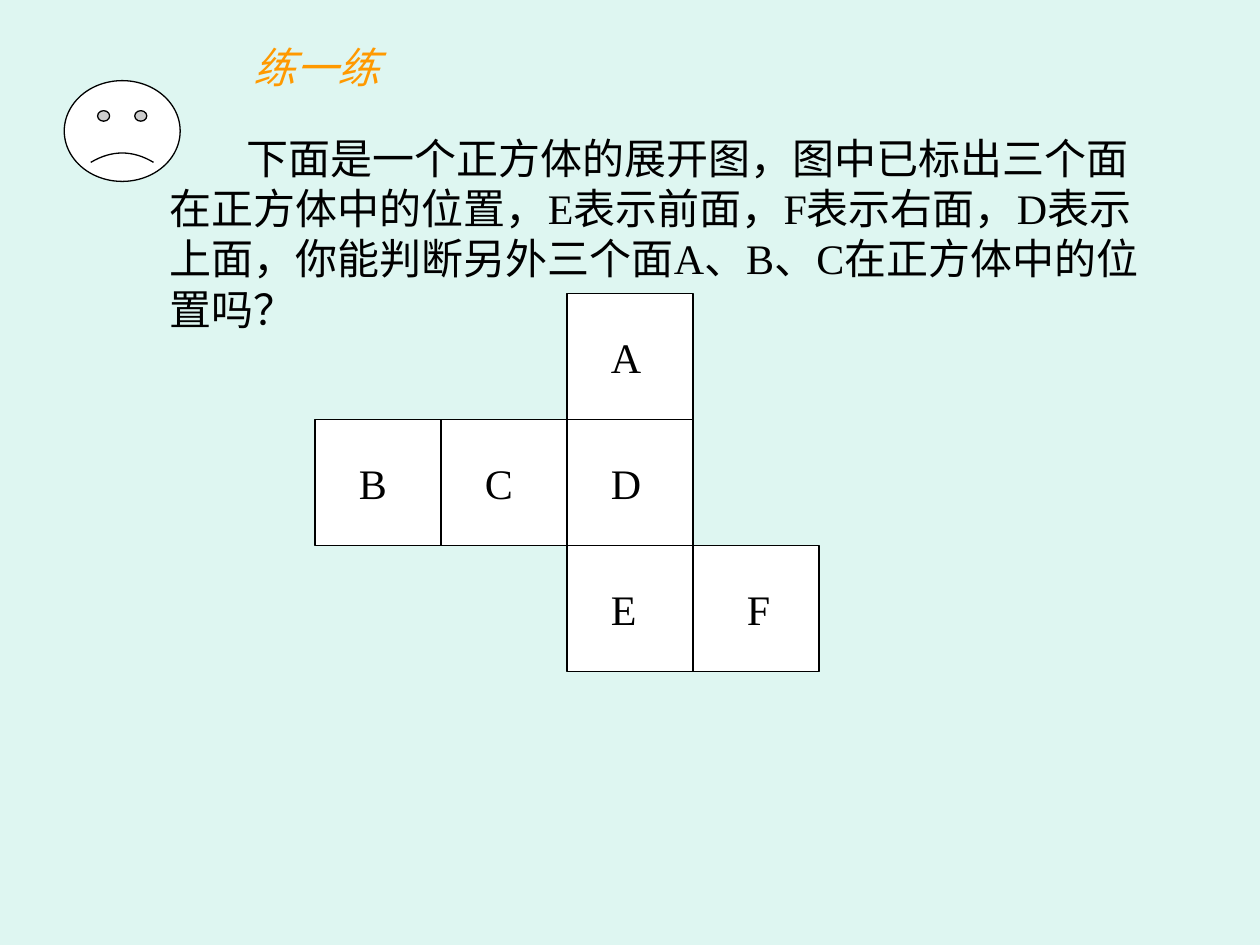
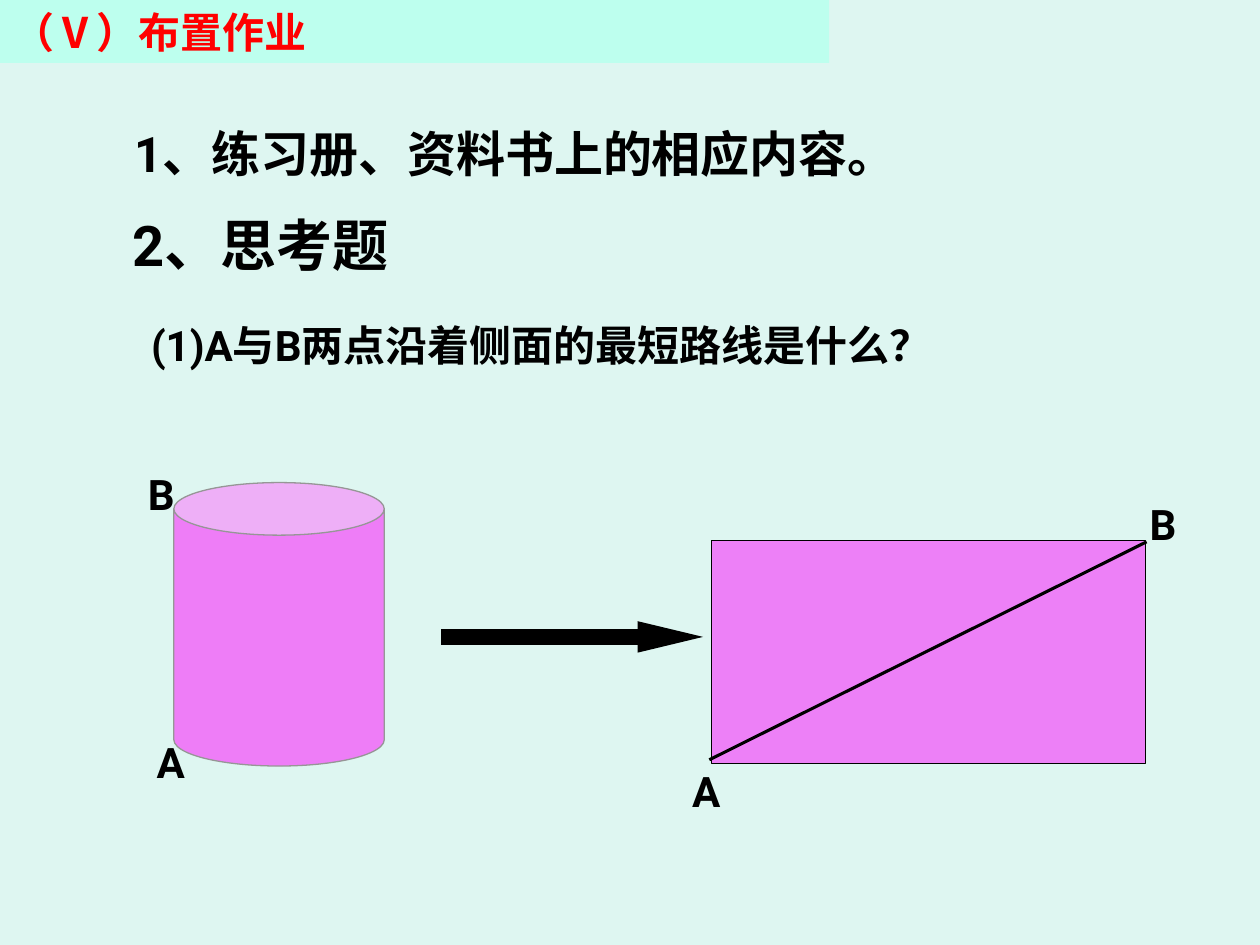
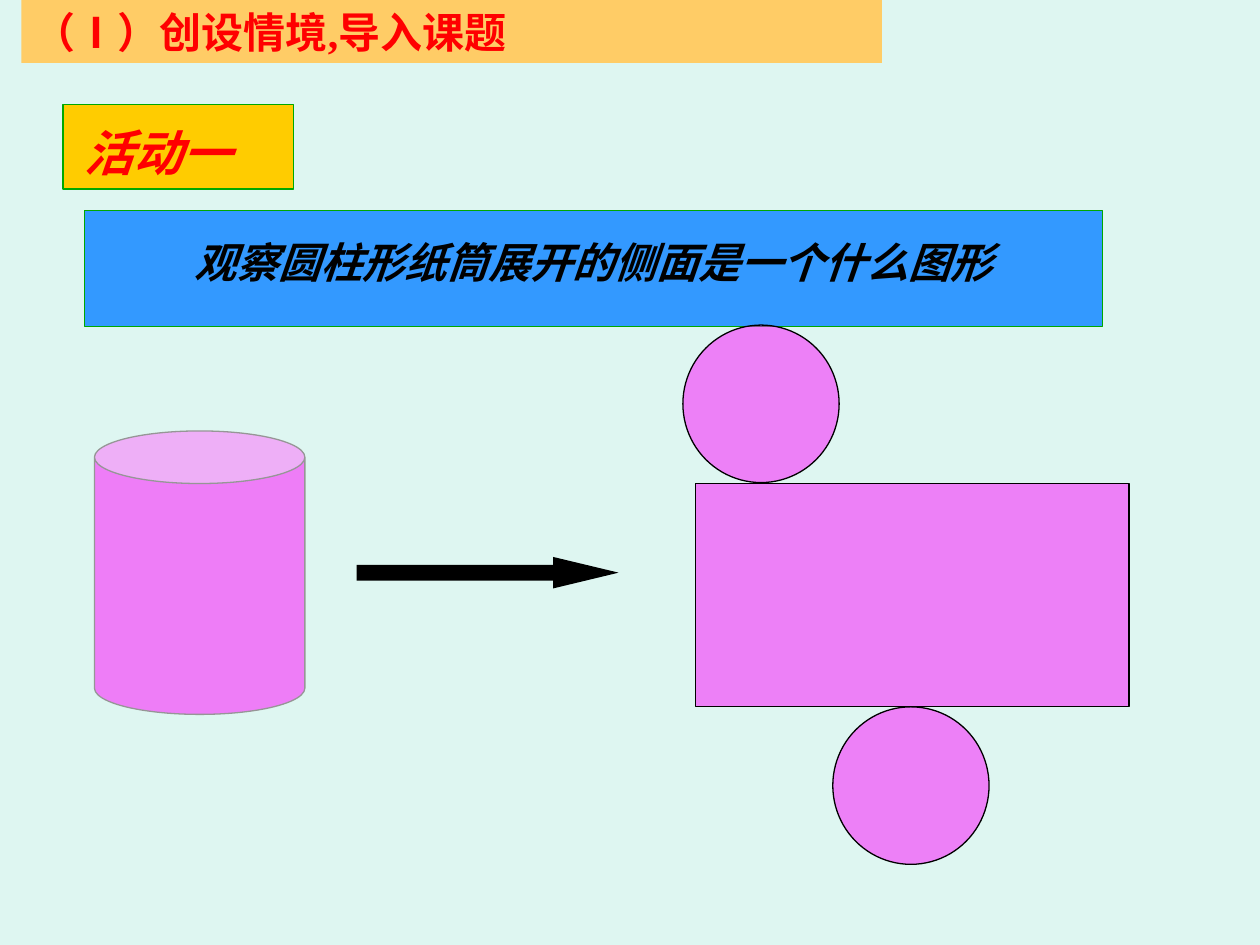
from dataclasses import dataclass

import lxml.etree
import pptx
import pptx.dml.color
import pptx.enum.shapes
import pptx.enum.text
import pptx.oxml.ns
import pptx.util

Inches = pptx.util.Inches
Pt = pptx.util.Pt
qn = pptx.oxml.ns.qn
Kind = pptx.enum.shapes.MSO_SHAPE
Align = pptx.enum.text.PP_ALIGN


@dataclass(frozen=True)
class Theme:
    back: str = "DEF6F1"
    ink: str = "000000"
    white: str = "FFFFFF"
    red: str = "FF0000"
    orange: str = "FF9900"
    pink: str = "FF00FF"
    gray: str = "969696"
    green: str = "00A800"
    gold: str = "FFCC00"
    blue: str = "3399FF"
    mint: str = "BDFFEE"
    sand: str = "FFCC66"
    body: int = 24
    large: int = 28
    huge: int = 32
    thin: float = 0.75
    thick: float = 1.75
    serif: str = "Times New Roman"
    sans: str = "Roboto"
    han: str = "Noto Sans CJK SC"


T = Theme()


@dataclass(frozen=True)
class Box:
    x: float
    y: float
    w: float
    h: float

    def emu(self) -> list:
        return [Inches(v) for v in (self.x, self.y, self.w, self.h)]


@dataclass(frozen=True)
class Style:
    size: int = T.body
    color: str = T.ink
    font: str = T.sans
    bold: bool = True
    slant: bool = False
    align: Align = Align.LEFT
    wrap: bool = True
    indent: float = 0


@dataclass(frozen=True)
class Label:
    text: str
    box: Box
    style: Style


@dataclass(frozen=True)
class Cell:
    name: str
    col: int
    row: int
    inset: float = 0.25


PLAIN = Style(font=T.serif, bold=False)
MARK = Style(align=Align.CENTER)
HEAD = Style(color=T.red)

CELLS = (
    Cell("A", 2, 0),
    Cell("B", 0, 1),
    Cell("C", 1, 1),
    Cell("D", 2, 1),
    Cell("E", 2, 2),
    Cell("F", 3, 2, 0.33),
)


def rgb(color: str):
    return pptx.dml.color.RGBColor.from_string(color)


def new_slide(deck):
    slide = deck.slides.add_slide(deck.slide_layouts[6])
    slide.background.fill.solid()
    slide.background.fill.fore_color.rgb = rgb(T.back)
    return slide


def draw(slide, kind, box: Box, fill: str, line: str = "",
         alpha: int = 100, adjust: tuple = ()):
    shape = slide.shapes.add_shape(kind, *box.emu())
    shape.shadow.inherit = False
    shape.fill.solid()
    shape.fill.fore_color.rgb = rgb(fill)
    if alpha < 100:
        color = shape.fill._xPr.find(qn("a:solidFill"))[0]
        lxml.etree.SubElement(color, qn("a:alpha"), val=str(alpha * 1000))
    if line:
        shape.line.color.rgb = rgb(line)
        shape.line.width = Pt(T.thin)
    else:
        shape.line.fill.background()
    for i, value in enumerate(adjust):
        shape.adjustments[i] = value
    return shape


def fill_text(shape, parts: list, style: Style) -> None:
    frame = shape.text_frame
    frame.word_wrap = style.wrap
    frame.vertical_anchor = pptx.enum.text.MSO_ANCHOR.TOP
    para = frame.paragraphs[0]
    para.alignment = style.align
    props = para._p.get_or_add_pPr()
    if style.indent:
        props.set("marL", "0")
        props.set("indent", str(Inches(style.indent)))
    font = para.font
    font.size = Pt(style.size)
    font.bold = style.bold
    font.italic = style.slant
    font.color.rgb = rgb(style.color)
    same = len({name for _, name in parts}) == 1
    if same:
        font.name = parts[0][1]
    lxml.etree.SubElement(props.find(qn("a:defRPr")), qn("a:ea"), typeface=T.han)
    for text, name in parts:
        run = para.add_run()
        run.text = text
        if not same:
            run.font.name = name


def write(slide, label: Label) -> None:
    shape = slide.shapes.add_textbox(*label.box.emu())
    fill_text(shape, [(label.text, label.style.font)], label.style)


def band(slide, box: Box, fill: str, parts: list) -> None:
    fill_text(draw(slide, Kind.RECTANGLE, box, fill), parts, HEAD)


def can(slide, x: float, y: float) -> None:
    draw(slide, Kind.CAN, Box(x, y, 1.67, 2.25), T.pink, T.gray, 49, (0.25,))


def arrow(slide, x: float, y: float) -> None:
    draw(slide, Kind.RIGHT_ARROW, Box(x, y, 2.08, 0.25), T.ink, adjust=(0.5, 2.08))


def sheet(slide, x: float, y: float) -> None:
    draw(slide, Kind.RECTANGLE, Box(x, y, 3.44, 1.77), T.pink, T.ink, 48)


def disc(slide, x: float, y: float) -> None:
    draw(slide, Kind.OVAL, Box(x, y, 1.24, 1.25), T.pink, T.ink, 48)


def cube_slide(deck) -> None:
    slide = new_slide(deck)
    write(slide, Label(
        "下面是一个正方体的展开图，图中已标出三个面在正方体中的位置，"
        "E表示前面，F表示右面，D表示上面，"
        "你能判断另外三个面A、B、C在正方体中的位置吗？",
        Box(1.25, 1, 7.92, 1.7),
        Style(font=T.serif, bold=False, indent=0.61)))
    for cell in CELLS:
        x, y = 2.5 + cell.col, 2.33 + cell.row
        draw(slide, Kind.RECTANGLE, Box(x, y, 1, 1), T.white, T.ink)
        write(slide, Label(cell.name, Box(x + cell.inset, y + 0.25, 0.58, 0.5), PLAIN))
    draw(slide, Kind.SMILEY_FACE, Box(0.51, 0.64, 0.92, 0.8),
         T.white, T.ink, adjust=(-0.05,))
    write(slide, Label("练一练", Box(1.51, 0.28, 2, 0.54), Style(
        color=T.orange, font=T.han, bold=False, slant=True, align=Align.CENTER)))


def home_slide(deck) -> None:
    slide = new_slide(deck)
    band(slide, Box(0, 0, 6.58, 0.5), T.mint,
         [("（Ⅴ）", T.sans), ("布置作业", T.serif)])
    arrow(slide, 3.5, 4.93)
    can(slide, 1.38, 3.83)
    sheet(slide, 5.65, 4.29)
    line = slide.shapes.add_connector(
        pptx.enum.shapes.MSO_CONNECTOR.STRAIGHT,
        Inches(5.63), Inches(6.03), Inches(9.1), Inches(4.3))
    line.line.color.rgb = rgb(T.ink)
    line.line.width = Pt(T.thick)
    lxml.etree.SubElement(line._element.spPr, qn("a:effectLst"))
    for label in (
        Label("1、练习册、资料书上的相应内容。", Box(0.97, 0.93, 6.34, 0.57),
              Style(size=T.large, wrap=False)),
        Label("2、思考题", Box(0.95, 1.62, 2.34, 0.64),
              Style(size=T.huge, wrap=False)),
        Label("(1)A与B两点沿着侧面的最短路线是什么？", Box(1.1, 2.49, 6.72, 0.5),
              Style()),
        Label("A", Box(1.14, 5.8, 0.43, 0.5), MARK),
        Label("B", Box(1.07, 3.67, 0.42, 0.5), MARK),
        Label("A", Box(5.39, 6.03, 0.43, 0.5), MARK),
        Label("B", Box(9.02, 3.91, 0.42, 0.5), MARK),
    ):
        write(slide, label)


def roll_slide(deck) -> None:
    slide = new_slide(deck)
    band(slide, Box(0.17, 0, 6.83, 0.5), T.sand,
         [("（", T.han), ("Ⅰ", T.serif), ("）", T.han),
          ("创设情境,导入课题", T.serif)])
    draw(slide, Kind.RECTANGLE, Box(0.5, 0.83, 1.83, 0.67), T.gold, T.green)
    write(slide, Label("活动一", Box(0.42, 0.92, 1.67, 0.57), Style(
        size=T.large, color=T.red, font=T.serif, slant=True, align=Align.CENTER)))
    draw(slide, Kind.RECTANGLE, Box(0.67, 1.67, 8.08, 0.92), T.blue, T.green)
    write(slide, Label(
        "观察圆柱形纸筒展开的侧面是一个什么图形", Box(0.75, 1.83, 7.92, 0.5),
        Style(font=T.han, slant=True, align=Align.CENTER)))
    can(slide, 0.75, 3.42)
    sheet(slide, 5.52, 3.84)
    disc(slide, 5.42, 2.58)
    disc(slide, 6.61, 5.61)
    arrow(slide, 2.83, 4.42)


def main() -> None:
    deck = pptx.Presentation()
    deck.slide_width = Inches(10)
    deck.slide_height = Inches(7.5)
    for build in (cube_slide, home_slide, roll_slide):
        build(deck)
    deck.save("out.pptx")


if __name__ == "__main__":
    main()
